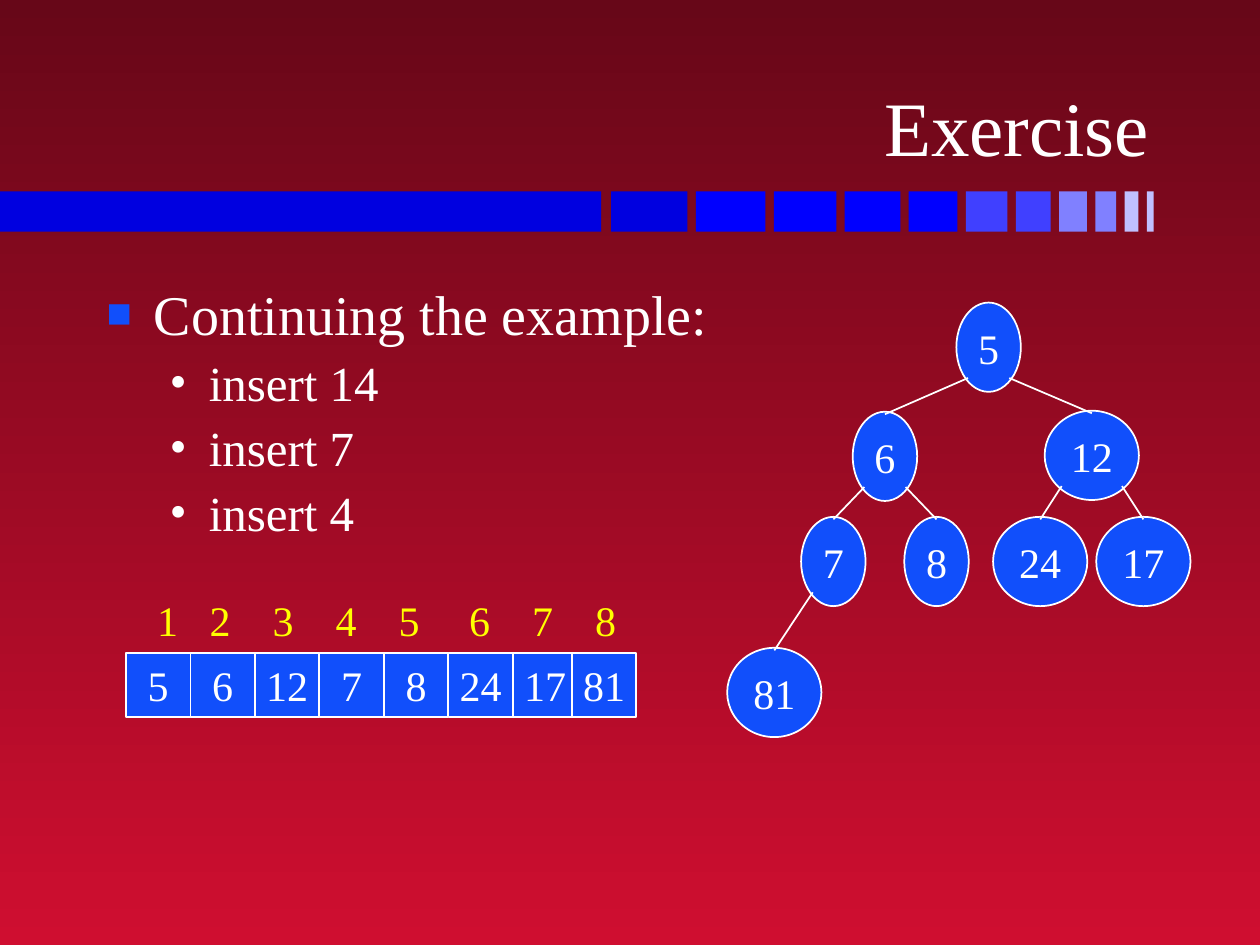
from lxml import etree
from pptx import Presentation
from pptx.dml.color import RGBColor
from pptx.enum import shapes, text
from pptx.oxml import ns
from pptx.util import Cm, Pt

DARK_RED = RGBColor(0x67, 0x07, 0x18)
RED = RGBColor(0xCF, 0x0E, 0x30)
WHITE = RGBColor(0xFF, 0xFF, 0xFF)
YELLOW = RGBColor(0xFF, 0xFF, 0x00)
NODE_BLUE = RGBColor(0x11, 0x4F, 0xFB)
BAR_NAVY = RGBColor(0x00, 0x00, 0xE0)
BAR_BLUE = RGBColor(0x00, 0x00, 0xFF)
BAR_MID = RGBColor(0x40, 0x40, 0xFF)
BAR_LIGHT = RGBColor(0x80, 0x80, 0xFF)
BAR_PALE = RGBColor(0xC0, 0xC0, 0xFF)
BAR_COLORS = ([BAR_NAVY] + [BAR_BLUE] * 4 + [BAR_MID] * 2
              + [BAR_LIGHT] * 2 + [BAR_PALE] * 2)

FONT = "Times New Roman"
LINE_WIDTH = Pt(1)
NODE_HEIGHT = 1.8
CELL = 1.3

NODES = {
    "5": (19.93, 7.0),
    "6": (17.84, 9.2),
    "12": (22.01, 9.18),
    "7": (16.8, 11.32),
    "8": (18.88, 11.32),
    "24": (20.97, 11.32),
    "17": (23.05, 11.32),
    "81": (15.61, 13.96),
}
EDGES = [("5", "6"), ("5", "12"), ("6", "7"), ("6", "8"),
         ("12", "24"), ("12", "17"), ("7", "81")]
CELL_LEFTS = [2.54 + CELL * i for i in range(7)] + [11.53]
INDEX_TABS = [1.27, 2.54, 3.81, 5.08, 6.5, 7.77, 9.04]


def format_runs(p, size, color):
    for r in p.runs:
        r.font.name = FONT
        r.font.size = Pt(size)
        r.font.color.rgb = color


def add_child(parent, tag, **attributes):
    return etree.SubElement(parent, ns.qn(tag), attributes)


def add_filled_shape(s, kind, left, top, width, height, color):
    sp = s.shapes.add_shape(kind, Cm(left), Cm(top), Cm(width), Cm(height))
    sp.shadow.inherit = False
    sp.fill.solid()
    sp.fill.fore_color.rgb = color
    sp.line.fill.background()
    return sp


def add_labelled_shape(s, kind, left, top, width, height, label):
    sp = add_filled_shape(s, kind, left, top, width, height, NODE_BLUE)
    sp.line.color.rgb = WHITE
    sp.line.width = LINE_WIDTH
    tf = sp.text_frame
    tf.text = label
    tf.word_wrap = False
    tf.vertical_anchor = text.MSO_ANCHOR.MIDDLE
    p = tf.paragraphs[0]
    p.alignment = text.PP_ALIGN.CENTER
    format_runs(p, 24, WHITE)


def add_text(s, left, top, width, height, content, size, color):
    sp = s.shapes.add_textbox(Cm(left), Cm(top), Cm(width), Cm(height))
    tf = sp.text_frame
    tf.word_wrap = True
    tf.text = content
    for p in tf.paragraphs:
        format_runs(p, size, color)
    return tf


def set_bullet(p, char, color, percent, margin, hanging, before):
    p.space_before = Pt(before)
    pPr = p._p.get_or_add_pPr()
    pPr.set("marL", str(Cm(margin)))
    pPr.set("indent", str(-Cm(hanging)))
    add_child(add_child(pPr, "a:buClr"), "a:srgbClr", val=str(color))
    add_child(pPr, "a:buSzPct", val=str(percent * 1000))
    add_child(pPr, "a:buFont", typeface=FONT)
    add_child(pPr, "a:buChar", char=char)


def add_background(s):
    fill = s.background.fill
    fill.gradient()
    fill.gradient_angle = 270
    for stop, color in zip(fill.gradient_stops, (DARK_RED, RED)):
        stop.color.rgb = color


def add_bars(s):
    rect = shapes.MSO_SHAPE.RECTANGLE
    top, height, unit, gap = 3.86, 0.81, 0.14, 0.17
    add_filled_shape(s, rect, 0, top, 12.12, height, BAR_NAVY)
    left = 12.32
    for i, color in enumerate(BAR_COLORS):
        width = unit * (len(BAR_COLORS) - i)
        add_filled_shape(s, rect, left, top, width, height, color)
        left += width + gap


def add_title(s):
    tf = add_text(s, 1.88, 0.48, 21.54, 3.12, "Exercise", 44, WHITE)
    tf.vertical_anchor = text.MSO_ANCHOR.BOTTOM
    tf.paragraphs[0].alignment = text.PP_ALIGN.RIGHT


def add_body(s):
    lines = ["Continuing the example:", "insert 14", "insert 7", "insert 4"]
    tf = add_text(s, 1.9, 5.51, 21.59, 11.43, "\n".join(lines), 28, WHITE)
    heading, *items = tf.paragraphs
    format_runs(heading, 32, WHITE)
    set_bullet(heading, "\u25a0", NODE_BLUE, 75, 0.95, 0.95, 8)
    for p in items:
        p.level = 1
        set_bullet(p, "\u2022", WHITE, 100, 2.06, 0.79, 3.5)


def node_width(label):
    return 1.3 if len(label) == 1 else 1.9


def add_node(s, label):
    x, y = NODES[label]
    width = node_width(label)
    add_labelled_shape(s, shapes.MSO_SHAPE.OVAL, x - width / 2,
                       y - NODE_HEIGHT / 2, width, NODE_HEIGHT, label)


def add_edge(s, parent, child):
    x1, y1 = NODES[parent]
    x2, y2 = NODES[child]
    side = 1 if x2 > x1 else -1
    start = x1 + side * 0.32 * node_width(parent)
    line = s.shapes.add_connector(
        shapes.MSO_CONNECTOR.STRAIGHT,
        Cm(start), Cm(y1 + 0.62), Cm(x2), Cm(y2 - 0.85))
    line.line.color.rgb = WHITE
    line.line.width = LINE_WIDTH
    add_child(line._element.spPr, "a:effectLst")


def add_array(s):
    for left, label in zip(CELL_LEFTS, ["5", "6", "12", "7", "8", "24", "17", "81"]):
        add_labelled_shape(s, shapes.MSO_SHAPE.RECTANGLE,
                           left, 13.16, CELL, CELL, label)
    indices = "\t".join(str(i) for i in range(1, 9))
    tf = add_text(s, 2.92, 11.86, 9.75, 1.27, indices, 24, YELLOW)
    tf.margin_right = 0
    tabs = add_child(tf.paragraphs[0]._p.get_or_add_pPr(), "a:tabLst")
    for position in INDEX_TABS:
        add_child(tabs, "a:tab", pos=str(Cm(position)), algn="ctr")


def main():
    prs = Presentation()
    prs.slide_width, prs.slide_height = Cm(25.4), Cm(19.05)
    s = prs.slides.add_slide(prs.slide_layouts[6])
    add_background(s)
    add_bars(s)
    add_title(s)
    add_body(s)
    for label in NODES:
        add_node(s, label)
    for parent, child in EDGES:
        add_edge(s, parent, child)
    add_array(s)
    prs.save("out.pptx")


main()
